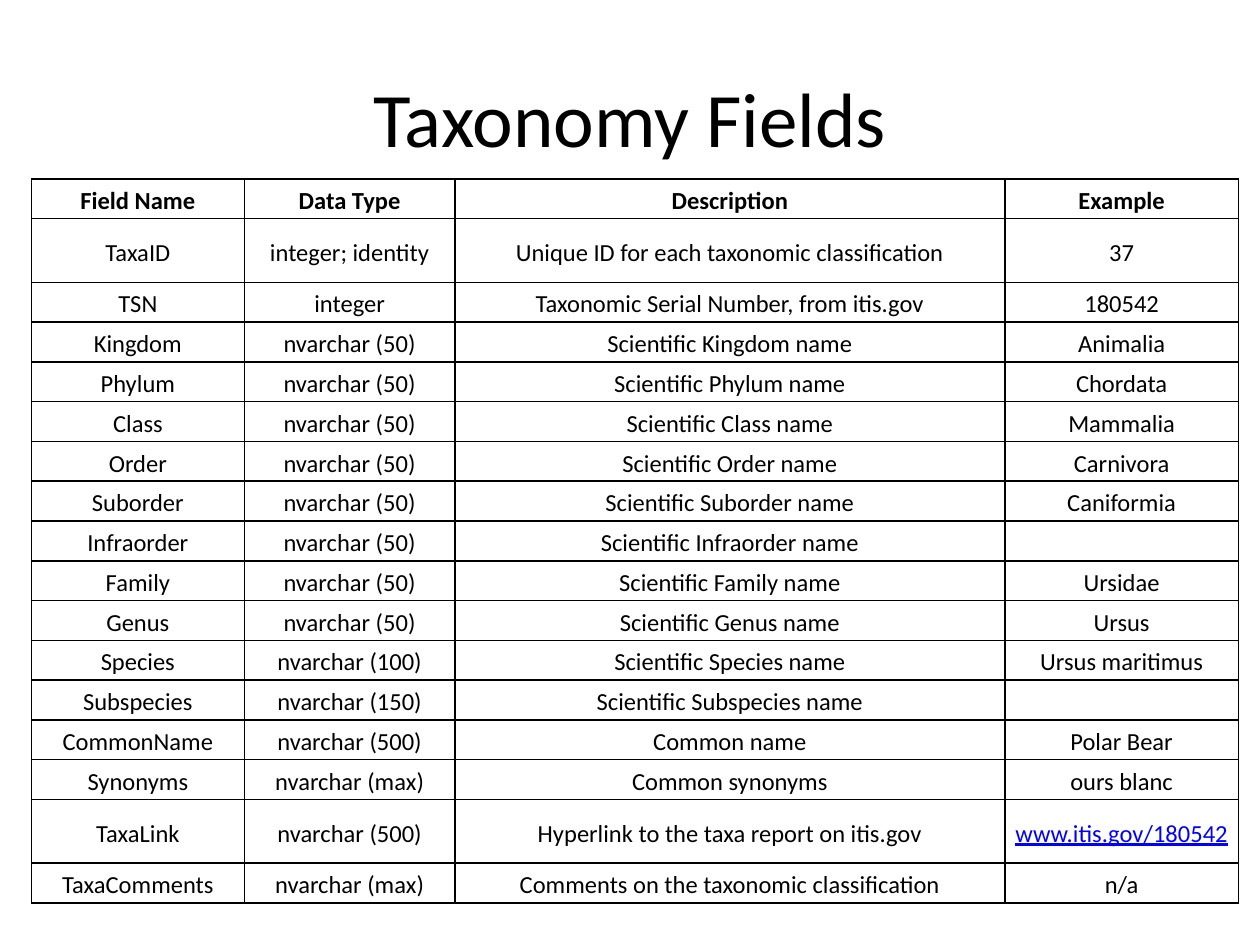
from typing import NamedTuple

from lxml.etree import SubElement
from pptx import Presentation
from pptx.dml.color import RGBColor
from pptx.enum.text import MSO_ANCHOR, PP_ALIGN
from pptx.oxml.ns import qn
from pptx.util import Pt

INK = {"text": "000000", "line": "000000", "link": "0000FF", "paper": "FFFFFF"}
FONT = "Calibri"
WIDTHS = (121.6, 120.4, 314.2, 133.6)
LOW, TALL = 22.75, 36.4


class Field(NamedTuple):
    name: str
    kind: str
    about: str
    sample: str
    high: float = LOW


def rank(name: str, sample: str, size: int = 50) -> Field:
    return Field(name, f"nvarchar ({size})", f"Scientific {name} name", sample)


FIELDS = (
    Field("Field Name", "Data Type", "Description", "Example"),
    Field("TaxaID", "integer; identity",
          "Unique ID for each taxonomic classification", "37", TALL),
    Field("TSN", "integer", "Taxonomic Serial Number, from itis.gov", "180542"),
    rank("Kingdom", "Animalia"),
    rank("Phylum", "Chordata"),
    rank("Class", "Mammalia"),
    rank("Order", "Carnivora"),
    rank("Suborder", "Caniformia"),
    rank("Infraorder", ""),
    rank("Family", "Ursidae"),
    rank("Genus", "Ursus"),
    rank("Species", "Ursus maritimus", 100),
    rank("Subspecies", "", 150),
    Field("CommonName", "nvarchar (500)", "Common name", "Polar Bear"),
    Field("Synonyms", "nvarchar (max)", "Common synonyms", "ours blanc"),
    Field("TaxaLink", "nvarchar (500)",
          "Hyperlink to the taxa report on itis.gov", "www.itis.gov/180542", TALL),
    Field("TaxaComments", "nvarchar (max)",
          "Comments on the taxonomic classification", "n/a"),
)


def style(par, size: float, bold: bool = False, link: bool = False) -> None:
    par.alignment = PP_ALIGN.CENTER
    for run in par.runs:
        font = run.font
        font.name, font.size = FONT, Pt(size)
        font.bold, font.underline = bold, link
        font.color.rgb = RGBColor.from_string(INK["link" if link else "text"])


def frame(cell) -> None:
    """Fill the cell and rule its four sides."""
    props = cell._tc.get_or_add_tcPr()
    for side in ("lnL", "lnR", "lnT", "lnB"):
        line = SubElement(props, qn(f"a:{side}"), w=str(Pt(1)))
        fill = SubElement(line, qn("a:solidFill"))
        SubElement(fill, qn("a:srgbClr"), val=INK["line"])
    cell.fill.solid()
    cell.fill.fore_color.rgb = RGBColor.from_string(INK["paper"])


def write(cell, text: str, bold: bool) -> None:
    cell.margin_left = cell.margin_right = Pt(5)
    cell.margin_top = cell.margin_bottom = Pt(0)
    cell.vertical_anchor = MSO_ANCHOR.MIDDLE
    frame(cell)
    if text:
        par = cell.text_frame.paragraphs[0]
        par.text = text
        par.line_spacing = 1.15
        style(par, 14, bold, text.startswith("www."))


deck = Presentation()
deck.slide_width, deck.slide_height = Pt(720), Pt(540)
slide = deck.slides.add_slide(deck.slide_layouts[5])

# Field table
high = sum(field.high for field in FIELDS)
table = slide.shapes.add_table(len(FIELDS), len(WIDTHS), Pt(18), Pt(102.2),
                               Pt(sum(WIDTHS)), Pt(high)).table
table.horz_banding = False
for col, width in zip(table.columns, WIDTHS):
    col.width = Pt(width)
for row, (line, field) in enumerate(zip(table.rows, FIELDS)):
    line.height = Pt(field.high)
    for cell, text in zip(line.cells, field[:4]):
        write(cell, text, row == 0)

# Title
title = slide.shapes.title
title.left, title.top, title.width, title.height = Pt(36), Pt(21.6), Pt(648), Pt(90)
title.text_frame.text = "Taxonomy Fields"
title.text_frame.vertical_anchor = MSO_ANCHOR.MIDDLE
style(title.text_frame.paragraphs[0], 44)

deck.save("out.pptx")
